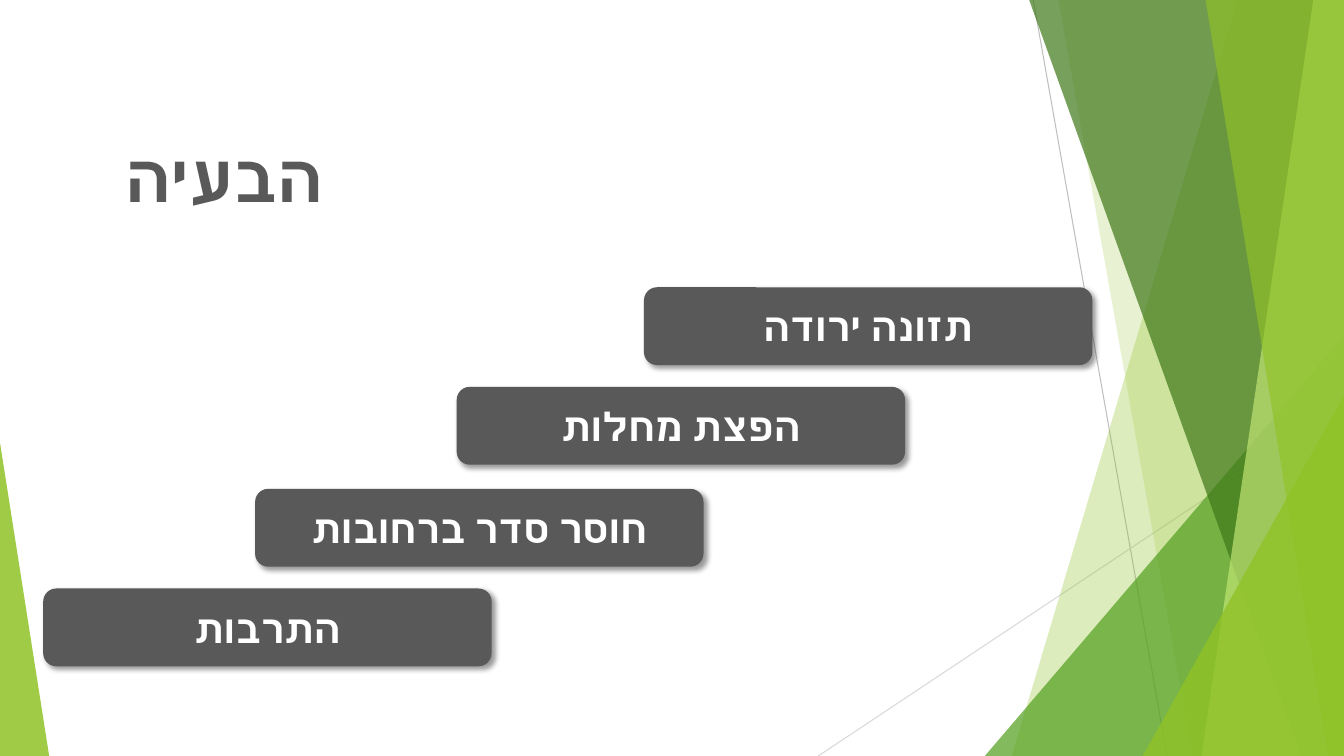
from lxml import etree
from pptx import Presentation
from pptx.enum import shapes, text
from pptx.dml.color import RGBColor
from pptx.oxml import ns
from pptx.util import Cm, Pt

HUE = {
    "lime": "90C226", "leaf": "54A021", "moss": "3F7819", "pale": "C0E474",
    "gray": "595959", "white": "FFFFFF", "rule": "BFBFBF", "faint": "D9D9D9",
    "black": "000000",
}
WIDE, HIGH = 33.87, 19.05


def paint(shape, hue, alpha=100):
    """Flat fill with no outline and no shadow."""
    shape.shadow.inherit = False
    shape.line.fill.background()
    shape.fill.solid()
    shape.fill.fore_color.rgb = RGBColor.from_string(HUE[hue])
    if alpha < 100:
        clr = shape.fill._xPr.find(".//" + ns.qn("a:srgbClr"))
        etree.SubElement(clr, ns.qn("a:alpha"), val=str(alpha * 1000))


def write(shape, words, face, size, hue, align):
    """One bold line, set in the middle of its frame."""
    frame = shape.text_frame
    frame.word_wrap = True
    frame.vertical_anchor = text.MSO_ANCHOR.MIDDLE
    para = frame.paragraphs[0]
    para.alignment = align
    run = para.add_run()
    run.text = words
    look = {"name": face, "size": Pt(size), "bold": True}
    for key, val in look.items():
        setattr(run.font, key, val)
    run.font.color.rgb = RGBColor.from_string(HUE[hue])
    etree.SubElement(run.font._element, ns.qn("a:cs"), typeface="Lato")
    return para


deck = Presentation()
deck.slide_width, deck.slide_height = Cm(WIDE), Cm(HIGH)
slide = deck.slides.add_slide(deck.slide_layouts[6])
tree = slide.shapes

# Thin lines
for x1, y1, x2, y2, hue in [
    (26.04, 0, 29.41, HIGH, "rule"),
    (WIDE, 10.24, 20.62, HIGH, "faint"),
]:
    line = tree.add_connector(
        shapes.MSO_CONNECTOR.STRAIGHT, Cm(x1), Cm(y1), Cm(x2), Cm(y2))
    line.line.width = Pt(0.75)
    line.line.color.rgb = RGBColor.from_string(HUE[hue])
    etree.SubElement(line._element.spPr, ns.qn("a:effectLst"))

# Bands run from the top to the bottom edge: left x at top, left x at bottom
# Wedges stand on the bottom edge: left, top, width, place of the tip
facets = [
    ("band", "lime", 30, (31.19, 25.5)),
    ("band", "lime", 20, (26.67, 30.05)),
    ("wedge", "leaf", 72, (24.82, 8.46, 9.05, 1)),
    ("band", "moss", 70, (25.93, 32.79)),
    ("band", "pale", 70, (33.1, 30.28)),
    ("band", "lime", 65, (30.38, 33.48)),
    ("wedge", "lime", 80, (28.8, 9.98, 5.07, 1)),
    ("wedge", "lime", 85, (0, 11.15, 1.24, 0)),
]
for kind, hue, alpha, geo in facets:
    if kind == "band":
        upper, lower = geo
        pen = tree.build_freeform(Cm(upper), Cm(-0.02))
        pen.add_line_segments([
            (Cm(WIDE), Cm(-0.02)), (Cm(WIDE), Cm(HIGH)), (Cm(lower), Cm(HIGH))])
        facet = pen.convert_to_shape()
    else:
        left, top, width, tip = geo
        facet = tree.add_shape(
            shapes.MSO_SHAPE.ISOSCELES_TRIANGLE,
            Cm(left), Cm(top), Cm(width), Cm(HIGH - top))
        facet.adjustments[0] = tip
    paint(facet, hue, alpha)

# Title
title = tree.add_textbox(Cm(2.9), Cm(2.26), Cm(27.61), Cm(4.32))
para = write(title, "הבעיה", "Lato", 48, "gray", text.PP_ALIGN.LEFT)
para._p.get_or_add_pPr().set("rtl", "1")

# Staircase of bars
for left, top, words, face in [
    (16.23, 7.24, "תזונה ירודה", "Lato"),
    (11.51, 9.75, "הפצת מחלות", "Lato"),
    (6.43, 12.32, "חוסר סדר ברחובות", "Lato"),
    (1.09, 14.83, "התרבות", "Arial"),
]:
    bar = tree.add_shape(
        shapes.MSO_SHAPE.ROUNDED_RECTANGLE,
        Cm(left), Cm(top), Cm(11.3), Cm(1.96))
    paint(bar, "gray")
    glow = etree.SubElement(
        bar._element.spPr.find(ns.qn("a:effectLst")), ns.qn("a:outerShdw"),
        blurRad=str(Pt(4)), dist=str(Pt(3)), dir=str(45 * 60000),
        algn="tl", rotWithShape="0")
    clr = etree.SubElement(glow, ns.qn("a:srgbClr"), val=HUE["black"])
    etree.SubElement(clr, ns.qn("a:alpha"), val="40000")
    write(bar, words, face, 28, "white", text.PP_ALIGN.CENTER)

deck.save("out.pptx")
